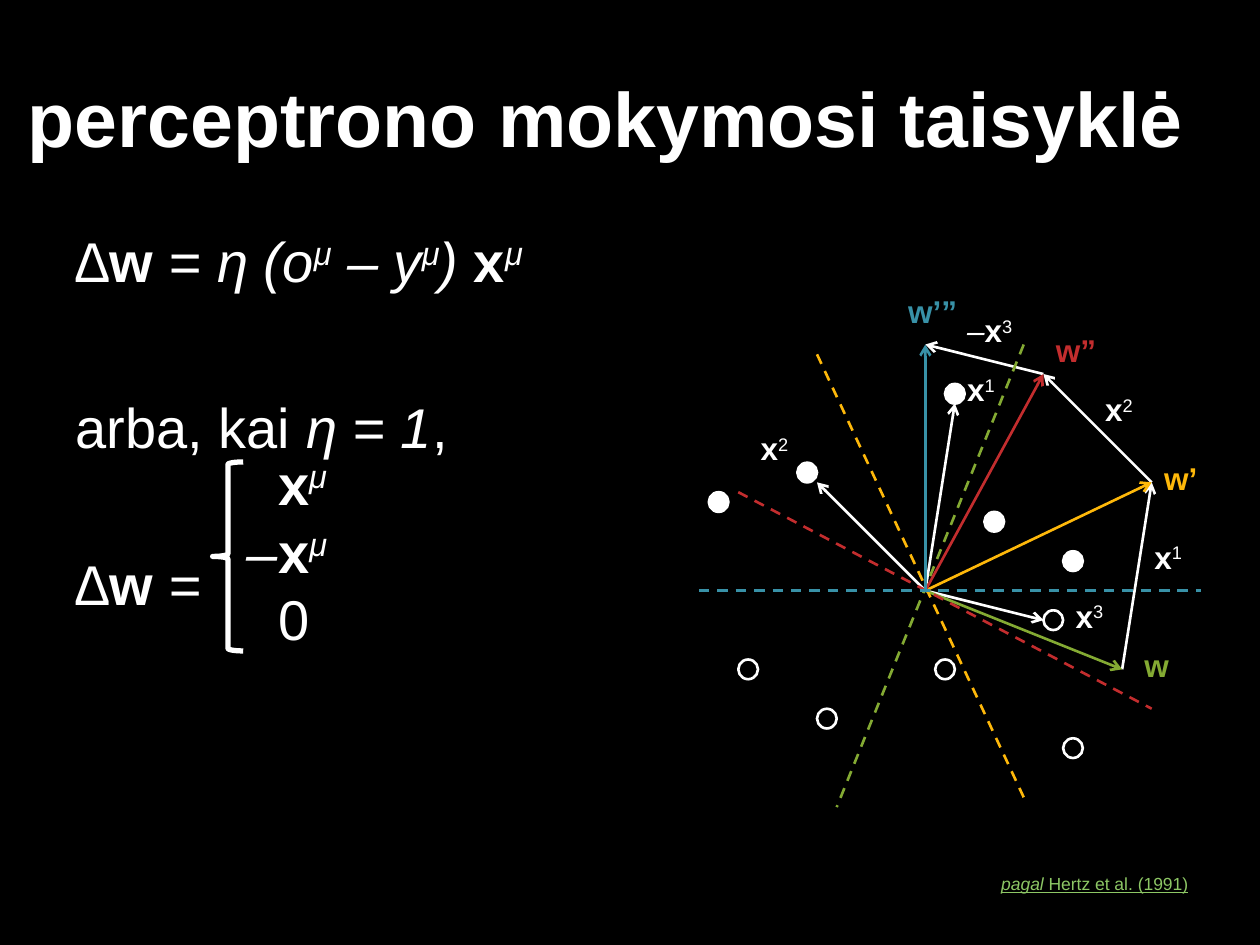
from pptx import Presentation
from pptx.dml.color import RGBColor
from pptx.enum.dml import MSO_LINE
from pptx.enum.shapes import MSO_CONNECTOR, MSO_SHAPE
from pptx.enum.text import MSO_ANCHOR, MSO_AUTO_SIZE, PP_ALIGN
from pptx.oxml.ns import qn
from pptx.util import Pt
from lxml import etree

STRAIGHT = MSO_CONNECTOR.STRAIGHT
OVAL, BRACE = MSO_SHAPE.OVAL, MSO_SHAPE.LEFT_BRACE
DASH = MSO_LINE.DASH
LEFT, RIGHT = PP_ALIGN.LEFT, PP_ALIGN.RIGHT
TOP, MIDDLE = MSO_ANCHOR.TOP, MSO_ANCHOR.MIDDLE
GROW, FIXED = MSO_AUTO_SIZE.SHAPE_TO_FIT_TEXT, MSO_AUTO_SIZE.NONE

THEME = {
    "font": "Arial",
    "black": "000000", "white": "FFFFFF", "green": "84AA33", "yellow": "FEB80A",
    "red": "C32D2E", "teal": "3891A7", "credit": "8DC765",
    "title": 44, "formula": 32, "label": 18, "source": 10,
    "thin": 1.5, "thick": 3,
}

# Content: a run is (text, style); b bold, i italic, u underlined, ^ superscript
TITLE = [("perceptrono mokymosi taisyklė", "b")]
X_MU = [("x", "b"), ("μ", "i^")]
# (runs, space before)
FORMULAS = [
    ([("∆", "i"), ("w", "b"), (" = η (o", "i"), ("μ", "i^"), (" – y", "i"),
      ("μ", "i^"), (") ", "i")] + X_MU, 0),
    ([("arba, kai ", ""), ("η = 1", "i"), (",", "")], 56.3),
    ([("∆", "i"), ("w", "b"), (" =", "i")], 51.5),
]
# (runs, indent): the indent is as wide as the minus sign
CASES = [(X_MU, 17.8), ([("–", "i")] + X_MU, 0), ([("0", "")], 17.8)]
SOURCE = [("pagal ", "iu"), ("Hertz et al. (1991)", "u")]

# Diagram in grid steps from the origin of the vectors
STEP = 45 / 8
ORIGIN = (528.75, 337.5)
FILLED = [(15, -3), (7, -7), (3, -20), (-21, -9), (-12, -12)]
OPEN = [(13, 3), (2, 8), (-18, 8), (15, 16), (-10, 13)]
START = (20, 8)
# name, input arrow, sign of the update, input label place, update label place
UPDATES = [
    ("1", (3, -19), 1, (3, -23), (22, -6)),
    ("2", (-11, -11), 1, (-18, -17), (17, -21)),
    ("3", (12, 3), -1, (14, 0), (3, -29)),
]
# weight label, colour, label place, label width, ends of the boundary
WEIGHTS = [
    ("w", "green", (21, 5), 30, (10, -25), (-9, 22)),
    ("w’", "yellow", (23, -14), 36, (-11, -24), (10, 21)),
    ("w”", "red", (12, -27), 40, (-19, -10), (23, 12)),
    ("w’”", "teal", (-3, -31), 46, (-23, 0), (28, 0)),
]


def color(name):
    return RGBColor.from_string(THEME[name])


def at(point):
    return tuple(Pt(o + STEP * v) for o, v in zip(ORIGIN, point))


def add_runs(p, runs, size, ink="white"):
    for text, style in runs:
        r = p.add_run()
        r.text = text
        f = r.font
        f.name, f.size = THEME["font"], Pt(THEME[size])
        f.color.rgb = color(ink)
        f.bold, f.italic, f.underline = "b" in style, "i" in style, "u" in style
        if "^" in style:
            r._r.get_or_add_rPr().set("baseline", "30000")


def add_text(box, paragraphs, size, ink="white", wrap=True, grow=False, align=LEFT):
    """Paragraphs are (runs, space before, indent)."""
    tf = slide.shapes.add_textbox(*box).text_frame
    tf.word_wrap = wrap
    tf.auto_size = GROW if grow else FIXED
    tf.vertical_anchor = TOP
    for i, (runs, before, indent) in enumerate(paragraphs):
        p = tf.paragraphs[0] if i == 0 else tf.add_paragraph()
        p.alignment, p.space_before = align, Pt(before)
        if indent:
            p._p.get_or_add_pPr().set("marL", str(Pt(indent)))
        add_runs(p, runs, size, ink)


def add_label(place, width, runs, ink="white"):
    add_text((*at(place), Pt(width), Pt(29)), [(runs, 0, 0)], "label", ink,
             wrap=False, grow=True)


def add_line(start, end, ink="white", dashed=False):
    """Dashed lines are boundaries, solid ones are arrows."""
    s = slide.shapes.add_connector(STRAIGHT, *at(start), *at(end))
    s.line.color.rgb, s.line.width = color(ink), Pt(THEME["thin"])
    if dashed:
        s.line.dash_style = DASH
    else:
        etree.SubElement(s.line._get_or_add_ln(), qn("a:tailEnd"), type="arrow")
    etree.SubElement(s._element.spPr, qn("a:effectLst"))


def add_outline(kind, box, width, filled=False):
    s = slide.shapes.add_shape(kind, *box)
    s.shadow.inherit = False
    if filled:
        s.fill.solid()
        s.fill.fore_color.rgb = color("white")
    else:
        s.fill.background()
    s.line.color.rgb, s.line.width = color("white"), Pt(THEME[width])


def box(*lengths):
    return tuple(Pt(v) for v in lengths)


prs = Presentation()
prs.slide_width, prs.slide_height = Pt(720), Pt(540)
slide = prs.slides.add_slide(prs.slide_layouts[5])
slide.background.fill.solid()
slide.background.fill.fore_color.rgb = color("black")

# Title
title = slide.shapes.title
title.left, title.top, title.width, title.height = box(0, 21.6, 684, 90)
tf = title.text_frame
tf.auto_size, tf.vertical_anchor = FIXED, MIDDLE
tf.paragraphs[0].alignment = RIGHT
add_runs(tf.paragraphs[0], TITLE, "title")

# Learning rule
add_text(box(36, 126, 284.4, 222.5), [(r, b, 0) for r, b in FORMULAS], "formula")

# Input points
for points, filled in ((FILLED, True), (OPEN, False)):
    for x, y in points:
        add_outline(OVAL, (*at((x - 1, y - 1)), Pt(2 * STEP), Pt(2 * STEP)),
                    "thin", filled)

# Inputs and the updates they cause; each update starts where the last ended
tips = [START]
for name, (dx, dy), sign, input_place, update_place in UPDATES:
    x, y = tips[-1]
    tips.append((x + sign * dx, y + sign * dy))
    add_line(tips[-2], tips[-1])
    add_line((0, 0), (dx, dy))
    label = [("x", "b"), (name, "^")]
    add_label(input_place, 32, label)
    if sign < 0:
        add_label(update_place, 42, [("–", "i")] + label)
    else:
        add_label(update_place, 32, label)

# Weight vectors and their decision boundaries
for tip, (name, ink, place, width, start, end) in zip(tips, WEIGHTS):
    add_line(start, end, ink, dashed=True)
    add_line((0, 0), tip, ink)
    add_label(place, width, [(name, "b")], ink)

# Source
add_text(box(518, 495.5, 168, 22.5), [(SOURCE, 0, 0)], "source", "credit", align=RIGHT)

# Cases of the rule
add_text(box(134, 253.5, 78.5, 124), [(r, 0, i) for r, i in CASES], "formula", grow=True)
add_outline(BRACE, box(121.5, 264, 17.5, 108), "thick")

prs.save("out.pptx")
